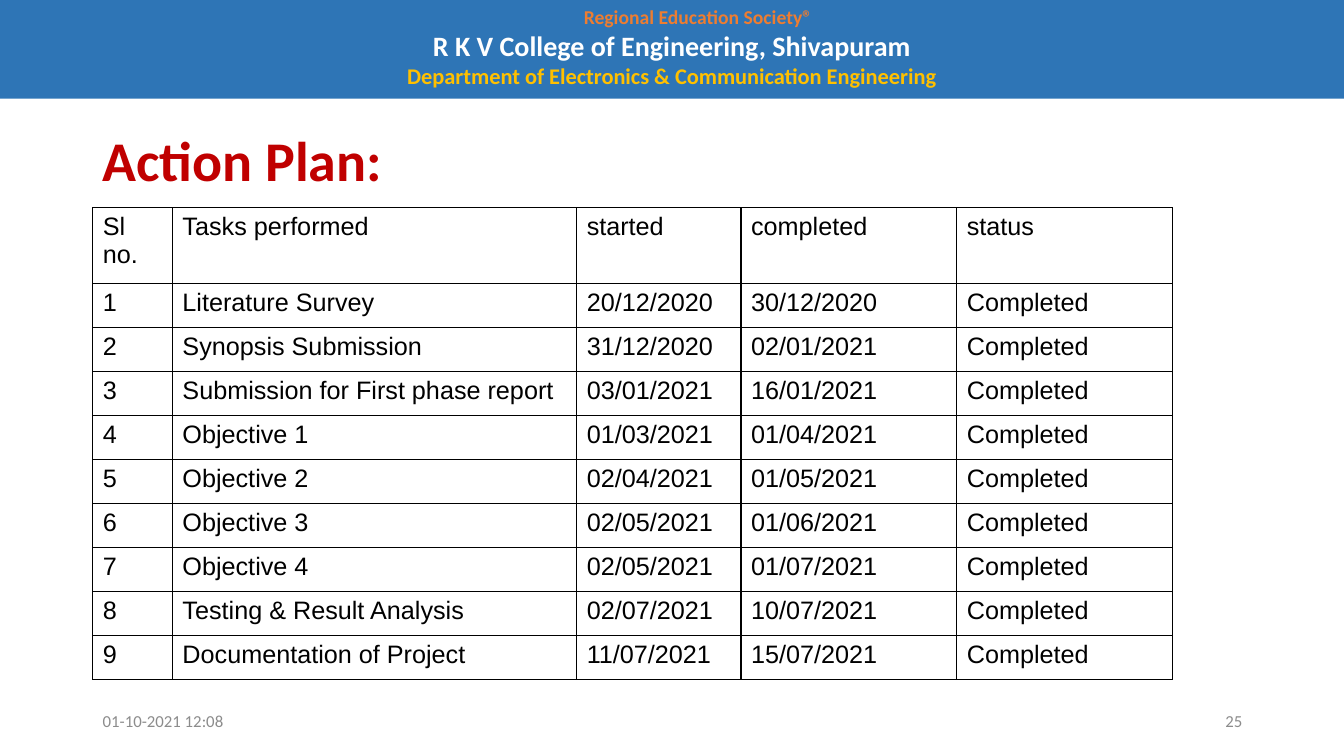
"""Build the action plan slide with its college banner, task table and footer."""
from lxml import etree
from pptx import Presentation
from pptx.dml.color import RGBColor
from pptx.enum.shapes import MSO_SHAPE as Shape
from pptx.enum.text import MSO_ANCHOR as Anchor, PP_ALIGN as Align
from pptx.oxml.ns import qn
from pptx.util import Inches, Pt

COLORS = {"banner": "2E75B6", "society": "ED7D31", "college": "FFFFFF",
          "department": "FFC000", "title": "C00000", "footer": "8C8C8C",
          "table": "000000"}

BANNER = [
    ("Regional Education Society®", "society", 14, 0.52),
    ("R K V College of Engineering, Shivapuram", "college", 20, 0),
    ("Department of Electronics & Communication Engineering", "department", 16, 0),
]
LABELS = [
    ("Action Plan:", (0.92, 1.3, 11.5, 0.65), "title", 40, True, Align.LEFT, 0.9),
    ("01-10-2021 12:08", (0.92, 6.95, 3, 0.4), "footer", 12, False, Align.LEFT, 1.0),
    ("25", (9.42, 6.95, 3, 0.4), "footer", 12, False, Align.RIGHT, 1.0),
]
HEADINGS = ("Sl no.", "Tasks performed", "started", "completed", "status")
TASKS = [
    ("Literature Survey", "20/12/2020", "30/12/2020"),
    ("Synopsis Submission", "31/12/2020", "02/01/2021"),
    ("Submission for First phase report", "03/01/2021", "16/01/2021"),
    ("Objective 1", "01/03/2021", "01/04/2021"),
    ("Objective 2", "02/04/2021", "01/05/2021"),
    ("Objective 3", "02/05/2021", "01/06/2021"),
    ("Objective 4", "02/05/2021", "01/07/2021"),
    ("Testing & Result Analysis", "02/07/2021", "10/07/2021"),
    ("Documentation of Project", "11/07/2021", "15/07/2021"),
]
STATUS = "Completed"
TABLE_LEFT, TABLE_TOP = 0.92, 2.06
COLUMN_WIDTHS = (0.79, 4.01, 1.63, 2.14, 2.14)
HEADING_HEIGHT, TASK_HEIGHT = 0.75, 0.437
TABLE_FLAGS = {"first_row": False, "horz_banding": False}


def write(paragraph, text, color, size, bold=False, font="Calibri"):
    run = paragraph.add_run()
    run.text = text
    for key, value in {"name": font, "size": Pt(size), "bold": bold}.items():
        setattr(run.font, key, value)
    run.font.color.rgb = RGBColor.from_string(COLORS[color])


def add_banner(slide):
    banner = slide.shapes.add_shape(Shape.RECTANGLE, 0, 0, Inches(13.33), Inches(0.98))
    banner.shadow.inherit = False
    banner.fill.solid()
    banner.fill.fore_color.rgb = RGBColor.from_string(COLORS["banner"])
    banner.line.fill.background()
    frame = banner.text_frame
    frame.vertical_anchor = Anchor.TOP
    for index, (text, color, size, indent) in enumerate(BANNER):
        paragraph = frame.add_paragraph() if index else frame.paragraphs[0]
        paragraph.alignment = Align.CENTER
        paragraph._p.get_or_add_pPr().set("marL", str(Inches(indent)))
        write(paragraph, text, color, size, True)


def add_label(slide, text, place, color, size, bold, alignment, spacing):
    frame = slide.shapes.add_textbox(*map(Inches, place)).text_frame
    frame.word_wrap = True
    frame.vertical_anchor = Anchor.MIDDLE
    paragraph = frame.paragraphs[0]
    paragraph.alignment = alignment
    paragraph.line_spacing = spacing
    write(paragraph, text, color, size, bold)


def outline(cell):
    properties = cell._tc.get_or_add_tcPr()
    for position, side in enumerate(("lnL", "lnR", "lnT", "lnB")):
        border = etree.Element(qn(f"a:{side}"), w=str(Pt(1)))
        fill = etree.SubElement(border, qn("a:solidFill"))
        etree.SubElement(fill, qn("a:srgbClr"), val=COLORS["table"])
        properties.insert(position, border)


def add_plan(slide):
    rows = [HEADINGS] + [(str(number), *task, STATUS)
                         for number, task in enumerate(TASKS, 1)]
    heights = [HEADING_HEIGHT] + [TASK_HEIGHT] * len(TASKS)
    place = (TABLE_LEFT, TABLE_TOP, sum(COLUMN_WIDTHS), sum(heights))
    plan = slide.shapes.add_table(len(rows), len(HEADINGS), *map(Inches, place)).table
    for flag, value in TABLE_FLAGS.items():
        setattr(plan, flag, value)
    for column, width in zip(plan.columns, COLUMN_WIDTHS):
        column.width = Inches(width)
    for row, height, texts in zip(plan.rows, heights, rows):
        row.height = Inches(height)
        for cell, text in zip(row.cells, texts):
            cell.fill.background()
            outline(cell)
            write(cell.text_frame.paragraphs[0], text, "table", 18, font="Arial")


def main():
    deck = Presentation()
    deck.slide_width, deck.slide_height = Inches(13.33), Inches(7.5)
    slide = deck.slides.add_slide(deck.slide_layouts[6])
    add_banner(slide)
    for label in LABELS:
        add_label(slide, *label)
    add_plan(slide)
    deck.save("out.pptx")


if __name__ == "__main__":
    main()
